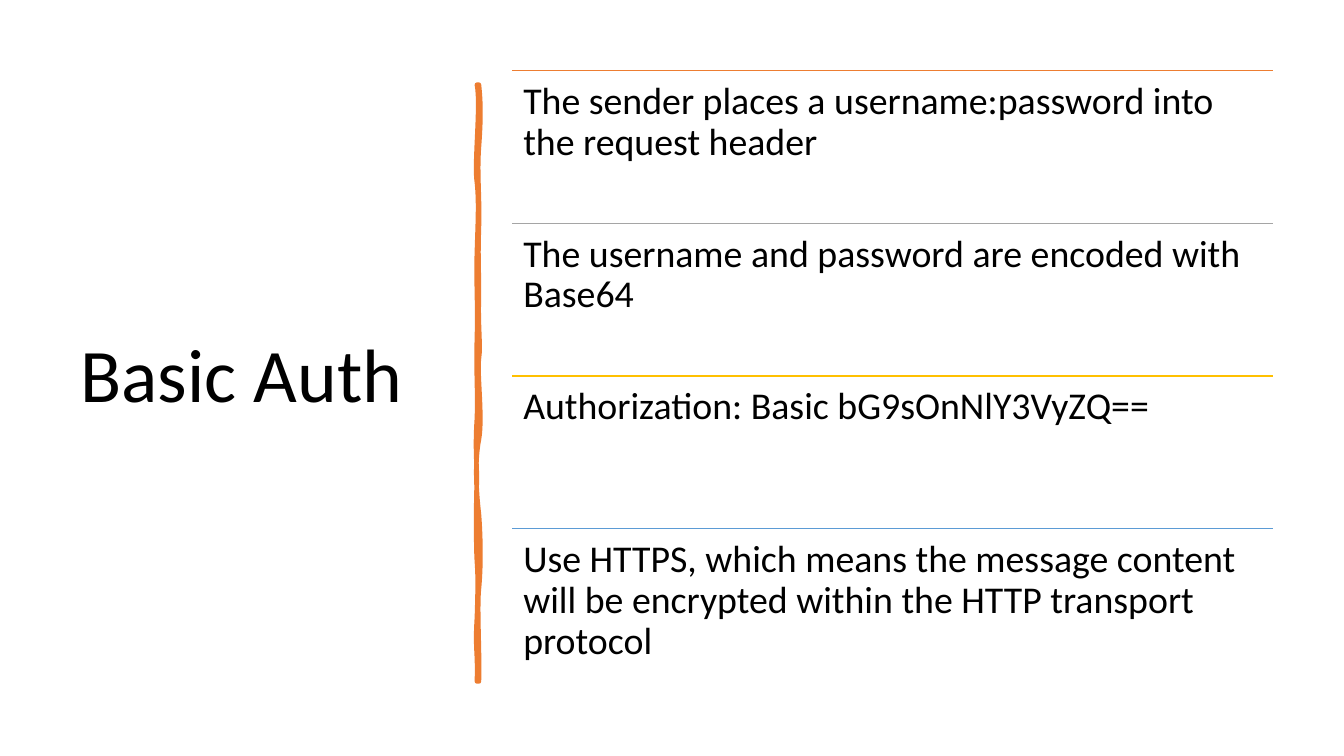
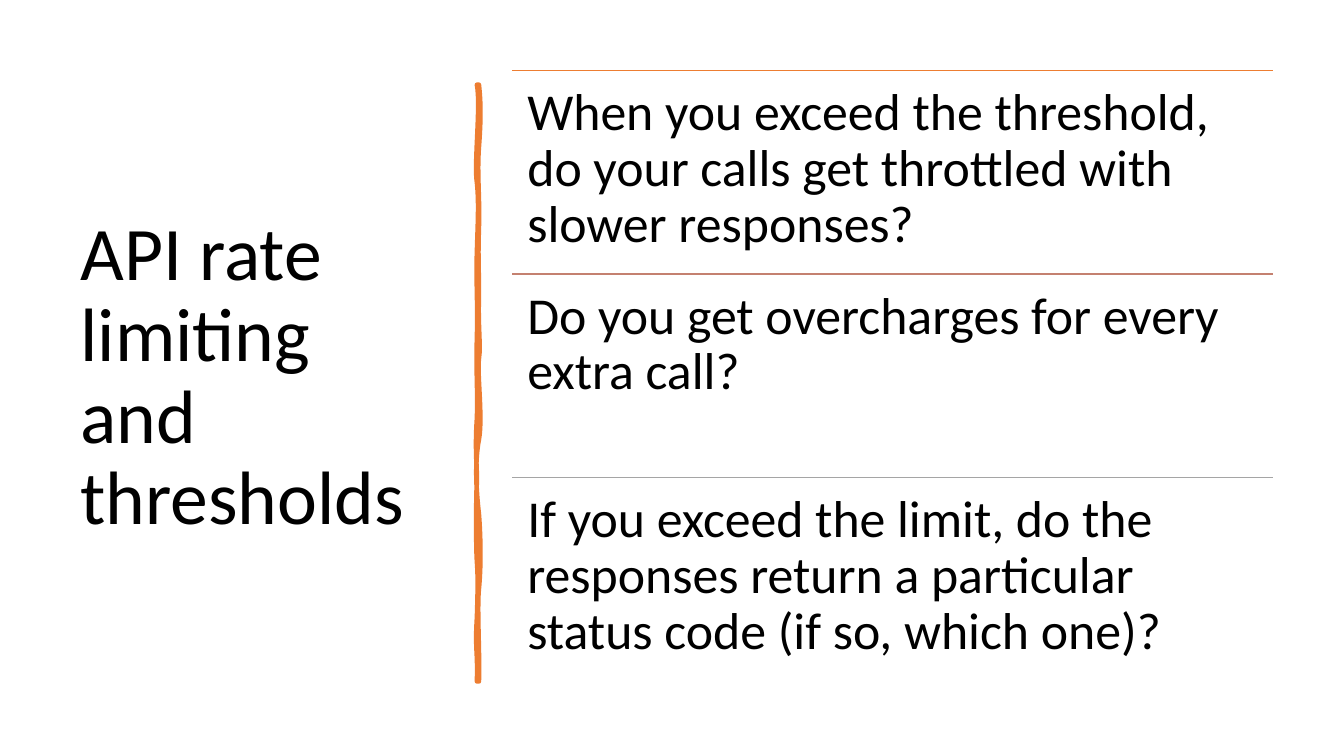
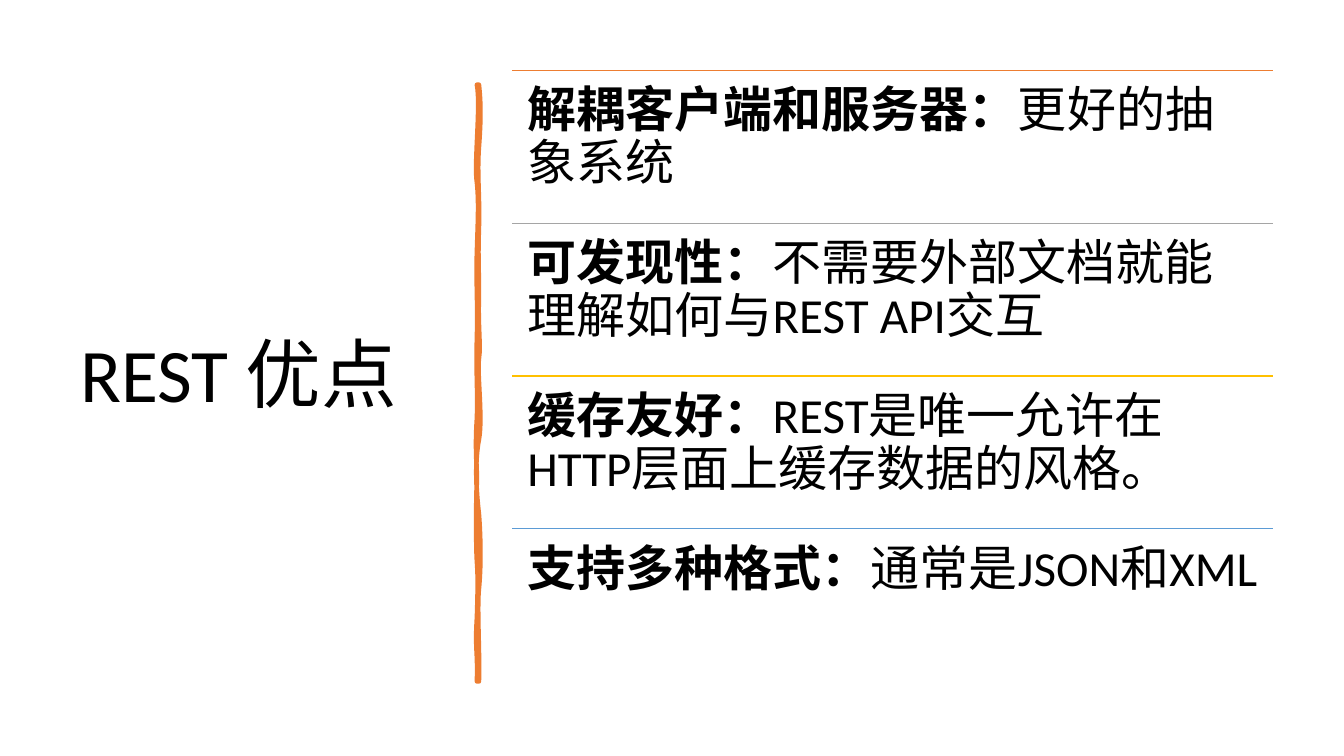
import pptx
import pptx.util
import pptx.dml.color
import pptx.enum.shapes
import pptx.enum.text
import pptx.oxml.ns
from lxml import etree

Inches = pptx.util.Inches
Pt = pptx.util.Pt
qn = pptx.oxml.ns.qn

FONT = "Calibri"
COLORS = {
    "text": "000000",
    "orange": "ED7D31",
    "rust": "C48170",
    "gray": "A5A5A5",
    "gold": "FFC000",
    "blue": "5B9BD5",
}
LEFT, TOP, WIDTH, HEIGHT = 5.08, 0.7, 7.55, 6.06
FOUR = ("orange", "gray", "gold", "blue")
THREE = ("orange", "rust", "gray")

START = (4.75, 0.84)
# Each row is one Bezier curve: two control points, then the end point.
EDGE = [
    ((4.77, 1.02), (4.77, 1.19), (4.75, 1.46)),
    ((4.73, 1.73), (4.76, 1.95), (4.75, 2.26)),
    ((4.74, 2.57), (4.75, 2.62), (4.75, 2.94)),
    ((4.74, 3.25), (4.77, 3.42), (4.75, 3.56)),
    ((4.73, 3.7), (4.79, 4.14), (4.75, 4.36)),
    ((4.71, 4.57), (4.72, 4.84), (4.75, 5.1)),
    ((4.77, 5.36), (4.77, 5.64), (4.75, 5.84)),
    ((4.73, 6.03), (4.76, 6.5), (4.75, 6.76)),
    ((4.74, 6.76), (4.73, 6.76), (4.73, 6.76)),
    ((4.74, 6.46), (4.71, 6.44), (4.73, 6.13)),
    ((4.74, 5.83), (4.74, 5.7), (4.73, 5.57)),
    ((4.72, 5.44), (4.72, 4.95), (4.73, 4.77)),
    ((4.73, 4.59), (4.71, 4.45), (4.73, 4.15)),
    ((4.74, 3.86), (4.72, 3.73), (4.73, 3.35)),
    ((4.74, 2.98), (4.72, 2.81), (4.73, 2.5)),
    ((4.74, 2.18), (4.75, 2), (4.73, 1.81)),
    ((4.7, 1.63), (4.77, 1.04), (4.73, 0.84)),
    ((4.74, 0.84), (4.74, 0.84), (4.75, 0.84)),
]
BODY = [
    ((4.75, 1.15), (4.72, 1.25), (4.75, 1.52)),
    ((4.77, 1.79), (4.74, 1.97), (4.75, 2.08)),
    ((4.76, 2.2), (4.74, 2.55), (4.75, 2.94)),
    ((4.76, 3.33), (4.73, 3.43), (4.75, 3.62)),
    ((4.77, 3.81), (4.77, 3.97), (4.75, 4.3)),
    ((4.72, 4.63), (4.75, 4.74), (4.75, 5.16)),
    ((4.75, 5.57), (4.74, 5.53), (4.75, 5.78)),
    ((4.76, 6.03), (4.74, 6.47), (4.75, 6.76)),
    ((4.74, 6.75), (4.73, 6.75), (4.73, 6.76)),
    ((4.7, 6.49), (4.74, 6.32), (4.73, 6.13)),
    ((4.72, 5.95), (4.75, 5.69), (4.73, 5.39)),
    ((4.71, 5.1), (4.76, 5), (4.73, 4.71)),
    ((4.7, 4.42), (4.77, 4.2), (4.73, 3.86)),
    ((4.69, 3.51), (4.74, 3.25), (4.73, 3)),
    ((4.71, 2.75), (4.71, 2.59), (4.73, 2.38)),
    ((4.74, 2.16), (4.74, 1.85), (4.73, 1.64)),
    ((4.71, 1.43), (4.75, 1.21), (4.73, 0.84)),
    ((4.74, 0.84), (4.74, 0.84), (4.75, 0.84)),
]

# Title, rule colours, text size, inset, rows of (bold lead, text)
SLIDES = [
    ("Basic Auth", FOUR, 27, 0.11, [
        ("", "The sender places a username:password into the request header"),
        ("", "The username and password are encoded with Base64"),
        ("", "Authorization: Basic bG9sOnNlY3VyZQ=="),
        ("", "Use HTTPS, which means the message content will be encrypted "
             "within the HTTP transport protocol"),
    ]),
    ("API rate limiting and thresholds", THREE, 37, 0.15, [
        ("", "When you exceed the threshold, do your calls get throttled "
             "with slower responses?"),
        ("", "Do you get overcharges for every extra call?"),
        ("", "If you exceed the limit, do the responses return a particular "
             "status code (if so, which one)?"),
    ]),
    ("REST 优点", FOUR, 35, 0.15, [
        ("解耦客户端和服务器：", "更好的抽象系统"),
        ("可发现性：", "不需要外部文档就能理解如何与REST API交互"),
        ("缓存友好：", "REST是唯一允许在HTTP层面上缓存数据的风格。"),
        ("支持多种格式：", "通常是JSON和XML"),
    ]),
]


def color(name):
    return pptx.dml.color.RGBColor.from_string(COLORS[name])


def add_text(slide, box, lead, text, size, inset=0.1, middle=False):
    shape = slide.shapes.add_textbox(*map(Inches, box))
    frame = shape.text_frame
    frame.word_wrap = True
    frame.margin_left = frame.margin_right = Inches(inset)
    frame.margin_top = frame.margin_bottom = Inches(inset)
    anchor = pptx.enum.text.MSO_ANCHOR
    frame.vertical_anchor = anchor.MIDDLE if middle else anchor.TOP
    para = frame.paragraphs[0]
    para.line_spacing = 0.9
    para.font.size = Pt(size)
    para.font.name = FONT
    para.font.color.rgb = color("text")
    if lead:
        run = para.add_run()
        run.text = lead
        run.font.bold = True
    para.add_run().text = text


def add_rule(slide, top, name):
    line = slide.shapes.add_connector(
        pptx.enum.shapes.MSO_CONNECTOR.STRAIGHT,
        Inches(LEFT), Inches(top), Inches(LEFT + WIDTH), Inches(top))
    line.line.color.rgb = color(name)
    line.line.width = Pt(1)
    etree.SubElement(line._element.spPr, qn("a:effectLst"))


def add_path(shape, paths, curves, **paint):
    """Add one closed outline of Bezier curves to a freeform."""
    outline = etree.SubElement(paths, qn("a:path"), w=str(shape.width),
                               h=str(shape.height), **paint)
    steps = [("a:moveTo", [START])] + [("a:cubicBezTo", row) for row in curves]
    for tag, points in steps:
        step = etree.SubElement(outline, qn(tag))
        for x, y in points:
            etree.SubElement(step, qn("a:pt"), x=str(Inches(x) - shape.left),
                             y=str(Inches(y) - shape.top))
    etree.SubElement(outline, qn("a:close"))


def add_brush(slide):
    """Draw the uneven upright stroke beside the title."""
    pen = slide.shapes.build_freeform(*map(Inches, START))
    pen.add_line_segments([tuple(map(Inches, row[-1])) for row in EDGE])
    brush = pen.convert_to_shape()
    paths = brush._element.spPr.find(".//" + qn("a:pathLst"))
    paths.remove(paths[0])
    add_path(brush, paths, EDGE, fill="none")
    add_path(brush, paths, BODY, stroke="0")
    brush.shadow.inherit = False
    brush.fill.solid()
    brush.fill.fore_color.rgb = color("orange")
    brush.line.color.rgb = color("orange")
    brush.line.width = Pt(3.25)
    etree.SubElement(brush.line._get_or_add_ln(), qn("a:round"))


def add_rows(slide, rules, size, inset, rows):
    pitch = HEIGHT / len(rows)
    for i, (name, (lead, text)) in enumerate(zip(rules, rows)):
        top = TOP + i * pitch
        add_rule(slide, top, name)
        add_text(slide, (LEFT, top, WIDTH, pitch), lead, text, size, inset)


def main():
    deck = pptx.Presentation()
    deck.slide_width = Inches(13.33)
    deck.slide_height = Inches(7.5)
    for title, rules, size, inset, rows in SLIDES:
        slide = deck.slides.add_slide(deck.slide_layouts[6])
        add_text(slide, (0.7, TOP, 3.74, 6.1), "", title, 54, middle=True)
        add_brush(slide)
        add_rows(slide, rules, size, inset, rows)
    deck.save("out.pptx")


if __name__ == "__main__":
    main()
